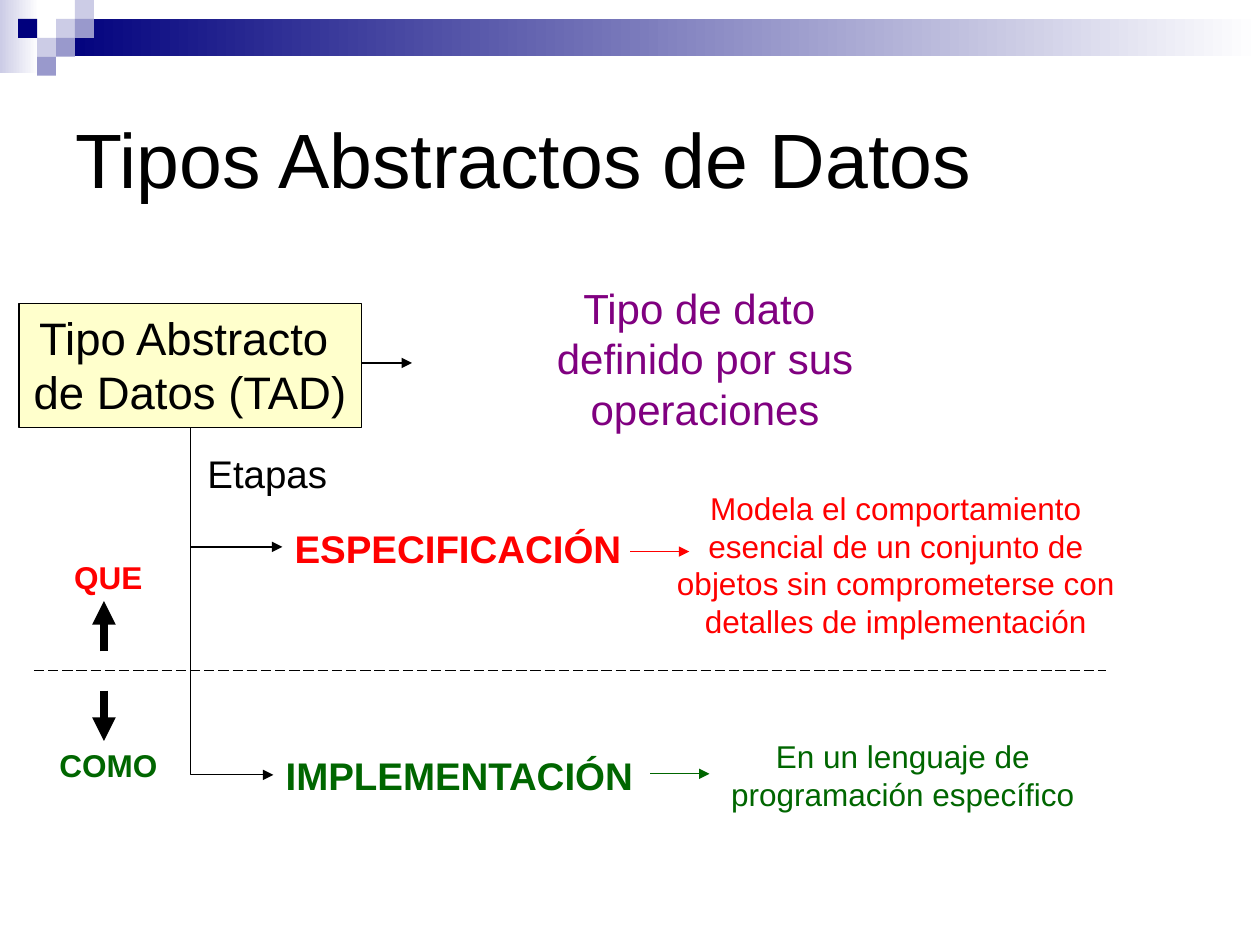
from dataclasses import dataclass

from lxml import etree
from pptx import Presentation
from pptx.dml.color import RGBColor
from pptx.enum import dml, shapes, text
from pptx.oxml.ns import qn
from pptx.util import Pt


@dataclass(frozen=True)
class Theme:
    font: str = "Arial"
    black: str = "000000"
    white: str = "FFFFFF"
    navy: str = "00007D"
    mid: str = "9999CC"
    pale: str = "CCCCE6"
    cream: str = "FFFFCC"
    purple: str = "800080"
    red: str = "FF0000"
    green: str = "006600"
    title: int = 44
    box: int = 26
    definition: int = 24
    stage: int = 22
    detail: int = 18
    thin: float = 0.75
    thick: float = 4.5


T = Theme()
CENTER, LEFT = text.PP_ALIGN.CENTER, text.PP_ALIGN.LEFT
TOP, MIDDLE = text.MSO_ANCHOR.TOP, text.MSO_ANCHOR.MIDDLE


def rgb(value):
    return RGBColor.from_string(value)


def write(sp, lines, size, color, bold=False, align=CENTER, anchor=TOP, wrap=True):
    tf = sp.text_frame
    tf.text = "\n".join(lines)
    tf.word_wrap = wrap
    tf.vertical_anchor = anchor
    for p in tf.paragraphs:
        p.alignment = align
        p.font.name, p.font.size, p.font.bold = T.font, Pt(size), bold
        p.font.color.rgb = rgb(color)


def add_label(s, at, lines, size, color, **style):
    sp = s.shapes.add_textbox(*map(Pt, at))
    write(sp, lines, size, color, **style)


def add_rect(s, at, fill, fade_to=None, line=None):
    sp = s.shapes.add_shape(shapes.MSO_SHAPE.RECTANGLE, *map(Pt, at))
    sp.shadow.inherit = False
    if fade_to:
        sp.fill.gradient()
        sp.fill.gradient_angle = 0
        for stop, color in zip(sp.fill.gradient_stops, (fill, fade_to)):
            stop.color.rgb = rgb(color)
    else:
        sp.fill.solid()
        sp.fill.fore_color.rgb = rgb(fill)
    if line:
        sp.line.color.rgb = rgb(line)
        sp.line.width = Pt(T.thin)
    else:
        sp.line.fill.background()
    return sp


def add_line(s, start, end, color=T.black, width=T.thin, arrow=True, dash=None,
             kind=shapes.MSO_CONNECTOR.STRAIGHT):
    cx = s.shapes.add_connector(kind, *map(Pt, (*start, *end)))
    cx.line.color.rgb = rgb(color)
    cx.line.width = Pt(width)
    if dash:
        cx.line.dash_style = dash
    if arrow:
        etree.SubElement(cx.line._get_or_add_ln(), qn("a:tailEnd"), type="triangle")
    etree.SubElement(cx._element.spPr, qn("a:effectLst"))
    return cx


def add_elbow(s, start, end):
    """Arrow that runs down from start, then right to end."""
    cx = add_line(s, start, end, kind=shapes.MSO_CONNECTOR.ELBOW)
    (x1, y1), (x2, y2) = start, end
    across, down = x2 - x1, y2 - y1
    # A single bend, turned a quarter about its centre
    cx.left, cx.top = Pt((x1 + x2 - down) / 2), Pt((y1 + y2 - across) / 2)
    cx.width, cx.height = Pt(down), Pt(across)
    spPr = cx._element.spPr
    spPr.find(qn("a:prstGeom")).set("prst", "bentConnector2")
    xfrm = spPr.find(qn("a:xfrm"))
    xfrm.set("rot", "16200000")
    xfrm.set("flipH", "1")


def add_header(s):
    add_rect(s, (0, 0, 22.3, 41.8), T.pale, fade_to=T.white)
    add_rect(s, (32.4, 10.8, 687.6, 21.4), T.navy, fade_to=T.white)
    # Checker squares by column and row
    tile = 10.8
    for col, row, color in ((2, 1, T.pale), (3, 0, T.pale), (3, 1, T.mid),
                            (1, 2, T.pale), (0, 1, T.navy), (2, 2, T.mid),
                            (1, 3, T.mid)):
        add_rect(s, (10.4 + col * tile, row * tile, tile, tile), color)


def add_title(s, words):
    sp = s.shapes.title
    sp.left, sp.top, sp.width, sp.height = map(Pt, (36, 36, 648, 108))
    write(sp, [words], T.title, T.black, align=LEFT, anchor=MIDDLE)


def add_definition(s):
    add_line(s, (172.8, 207.4), (235.4, 207.4))
    add_label(s, (247, 167.8, 311.8, 73.4),
              ["Tipo de dato ", "definido por sus operaciones"],
              T.definition, T.purple, anchor=MIDDLE, wrap=False)
    sp = add_rect(s, (10.8, 173.5, 195.8, 70.6), T.cream, line=T.black)
    write(sp, ["Tipo Abstracto ", "de Datos (TAD)"], T.box, T.black, wrap=False)


def add_stage(s, name, at, color, detail, detail_at, branch_to, arrow_from):
    add_label(s, at, [name], T.stage, color, bold=True, align=LEFT, anchor=MIDDLE)
    add_elbow(s, (108.9, 244.1), branch_to)
    add_label(s, detail_at, [detail], T.detail, color)
    x, y = arrow_from
    add_line(s, (x, y), (x + 33.9, y), color)


def add_question(s, word, top, color, arrow_y):
    add_label(s, (19.4, top, 85, 28.8), [word], T.detail, color, bold=True)
    add_line(s, (59.4, arrow_y[0]), (59.4, arrow_y[1]), width=T.thick)


def main():
    prs = Presentation()
    prs.slide_width, prs.slide_height = Pt(720), Pt(540)
    s = prs.slides.add_slide(prs.slide_layouts[5])
    s.background.fill.solid()
    s.background.fill.fore_color.rgb = rgb(T.white)

    add_header(s)
    add_title(s, "Tipos Abstractos de Datos")
    add_definition(s)

    # Stages
    add_label(s, (70.6, 242, 164.2, 56.9), ["Etapas"], T.stage, T.black, anchor=MIDDLE)
    add_stage(s, "ESPECIFICACIÓN", (161.3, 287.5, 210, 51.1), T.red,
              "Modela el comportamiento esencial de un conjunto de objetos sin "
              "comprometerse con detalles de implementación",
              (371.5, 275.8, 280.8, 93.6), (161.3, 312.5), (360, 315.2))
    add_stage(s, "IMPLEMENTACIÓN", (156.2, 417.6, 232.6, 51.1), T.green,
              "En un lenguaje de programación específico",
              (405.4, 417.6, 221, 50.4), (156.2, 442.8), (371.5, 442.2))

    # What against how
    add_line(s, (19.4, 383), (632.2, 383), arrow=False, dash=dml.MSO_LINE.LONG_DASH)
    add_question(s, "QUE", 315.4, T.red, (372.2, 343.4))
    add_question(s, "COMO", 422.6, T.green, (394.6, 423.4))

    prs.save("out.pptx")


main()
